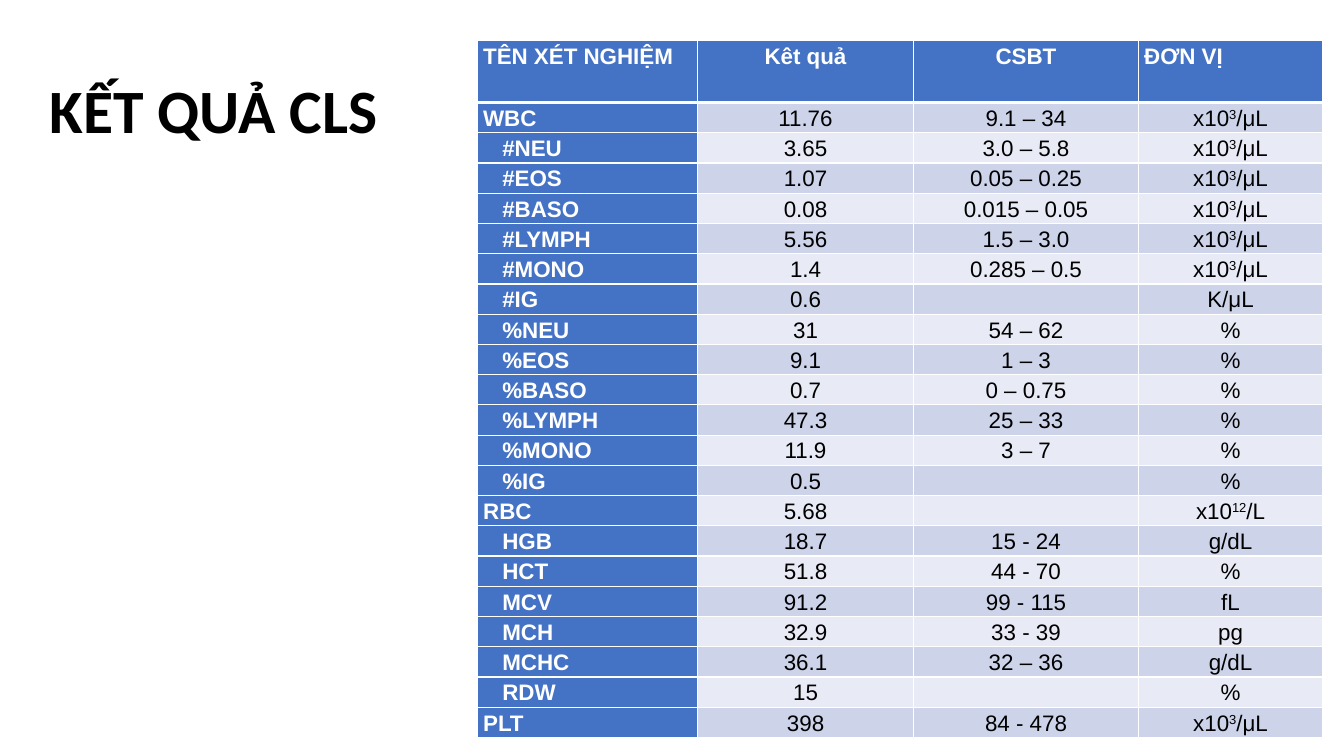
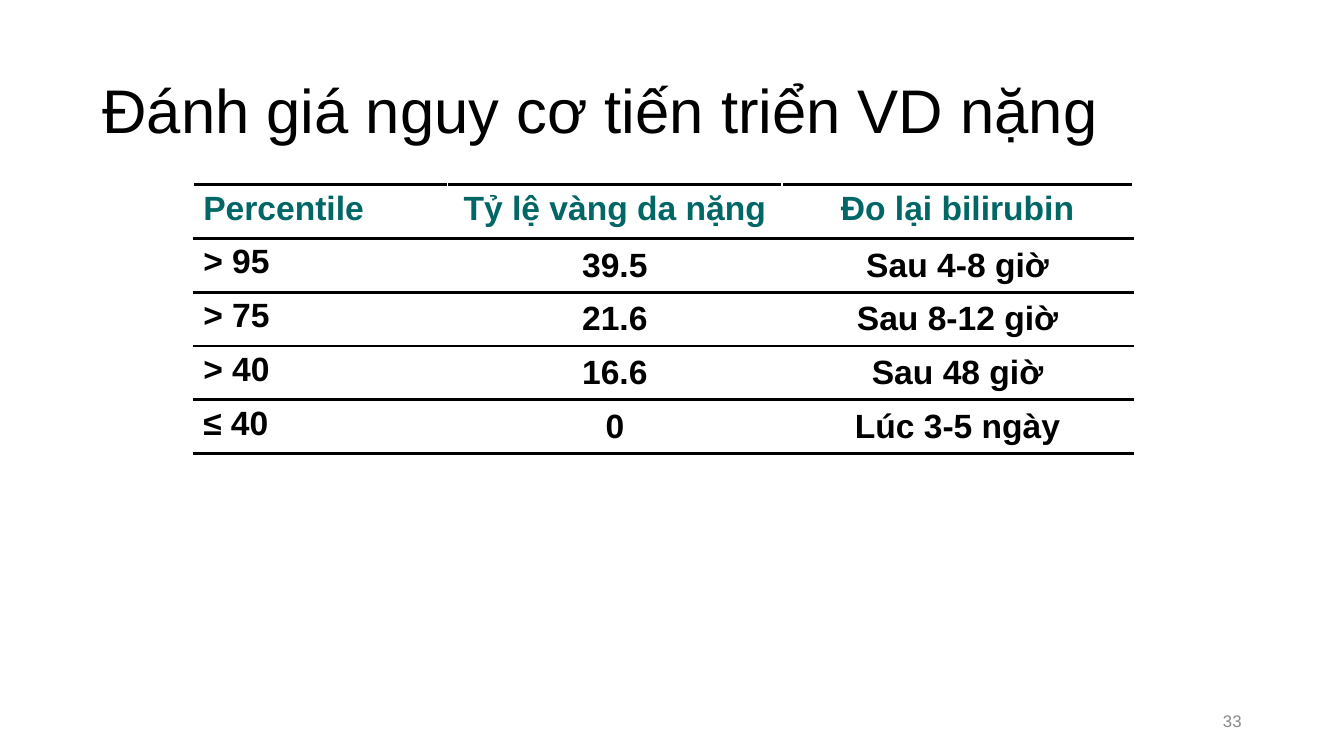
from lxml import etree
from pptx import Presentation, util as u
from pptx.dml.color import RGBColor
from pptx.enum import text
from pptx.oxml import ns

WHITE, BLACK, GREY = "FFFFFF", "000000", "898989"
BLUE, BAND_DARK, BAND_LIGHT = "4472C4", "CDD4EA", "E8EBF5"
TEAL = "006666"
TITLE_ONLY = 5
UNIT = u.Inches(1) / 12  # the slide is a grid of 160 columns by 90 rows
LEFT, CENTER, RIGHT = text.PP_ALIGN.LEFT, text.PP_ALIGN.CENTER, text.PP_ALIGN.RIGHT
TOP, MIDDLE = text.MSO_ANCHOR.TOP, text.MSO_ANCHOR.MIDDLE


def color(hex_code):
    return RGBColor.from_string(hex_code)


def grid(*units):
    return [u.Emu(round(n * UNIT)) for n in units]


def write(frame, content, size=16, font="Arial", ink=BLACK, bold=False, align=LEFT, spacing=None):
    """Write one paragraph; parts between carets are raised."""
    paragraph = frame.paragraphs[0]
    paragraph.alignment = align
    paragraph.line_spacing = spacing
    if not content:  # an empty cell keeps the row's text size
        end = etree.SubElement(paragraph._p, ns.qn("a:endParaRPr"))
        end.set("sz", str(size * 100))
        return
    for i, part in enumerate(content.split("^")):
        run = paragraph.add_run()
        run.text = part
        run.font.size, run.font.name, run.font.bold = u.Pt(size), font, bold
        run.font.color.rgb = color(ink)
        if i % 2:
            run._r.get_or_add_rPr().set("baseline", "30000")


def draw_borders(cell, borders):
    """Borders map a side (L, R, T, B) to a colour and a width in points."""
    properties = cell._tc.get_or_add_tcPr()
    for side in "LRTB":
        ink, width = borders[side]
        line = etree.SubElement(properties, ns.qn("a:ln" + side), w=str(u.Pt(width)))
        fill = etree.SubElement(line, ns.qn("a:solidFill"))
        etree.SubElement(fill, ns.qn("a:srgbClr"), val=ink)


class Deck:
    def __init__(self):
        self.show = Presentation()
        self.show.slide_width, self.show.slide_height = grid(160, 90)
        self.slide = None

    def add_slide(self, title, left, **style):
        self.slide = self.show.slides.add_slide(self.show.slide_layouts[TITLE_ONLY])
        heading = self.slide.shapes.title
        heading.left, heading.top, heading.width, heading.height = grid(left, 4.8, 138, 17.4)
        heading.text_frame.vertical_anchor = MIDDLE
        write(heading.text_frame, title, size=44, spacing=0.9, **style)

    def add_page_number(self, number):
        frame = self.slide.shapes.add_textbox(*grid(113, 83.4, 36, 4.8)).text_frame
        frame.word_wrap = True
        frame.vertical_anchor = MIDDLE
        write(frame, number, size=12, ink=GREY, align=RIGHT)

    def add_table(self, left, top, columns, heights, rows, style):
        """style(row, column, name) gives fill, borders, margins, anchor and text format."""
        place = grid(left, top, sum(columns), sum(heights))
        table = self.slide.shapes.add_table(len(rows), len(columns), *place).table
        table.first_row = table.horz_banding = False
        for column, width in zip(table.columns, grid(*columns)):
            column.width = width
        for row, height in zip(table.rows, grid(*heights)):
            row.height = height
        for r, values in enumerate(rows):
            for c, value in enumerate(values):
                look = style(r, c, values[0])
                cell = table.cell(r, c)
                draw_borders(cell, look["borders"])
                if look["fill"]:
                    cell.fill.solid()
                    cell.fill.fore_color.rgb = color(look["fill"])
                else:
                    cell.fill.background()
                margins = [u.Inches(m) for m in look["margins"]]
                cell.margin_left, cell.margin_top, cell.margin_right, cell.margin_bottom = margins
                cell.vertical_anchor = look["anchor"]
                write(cell.text_frame, value, **look["format"])


# Blood test results
GROUPS = ("WBC", "RBC", "PLT")
PER_UL = "x10^3^/μL"
BLOOD_TESTS = [
    ("TÊN XÉT NGHIỆM", "Kêt quả", "CSBT", "ĐƠN VỊ"),
    ("WBC", "11.76", "9.1 – 34", PER_UL),
    ("#NEU", "3.65", "3.0 – 5.8", PER_UL),
    ("#EOS", "1.07", "0.05 – 0.25", PER_UL),
    ("#BASO", "0.08", "0.015 – 0.05", PER_UL),
    ("#LYMPH", "5.56", "1.5 – 3.0", PER_UL),
    ("#MONO", "1.4", "0.285 – 0.5", PER_UL),
    ("#IG", "0.6", "", "K/μL"),
    ("%NEU", "31", "54 – 62", "%"),
    ("%EOS", "9.1", "1 – 3", "%"),
    ("%BASO", "0.7", "0 – 0.75", "%"),
    ("%LYMPH", "47.3", "25 – 33", "%"),
    ("%MONO", "11.9", "3 – 7", "%"),
    ("%IG", "0.5", "", "%"),
    ("RBC", "5.68", "", "x10^12^/L"),
    ("HGB", "18.7", "15 - 24", "g/dL"),
    ("HCT", "51.8", "44 - 70", "%"),
    ("MCV", "91.2", "99 - 115", "fL"),
    ("MCH", "32.9", "33 - 39", "pg"),
    ("MCHC", "36.1", "32 – 36", "g/dL"),
    ("RDW", "15", "", "%"),
    ("PLT", "398", "84 - 478", PER_UL),
]


def blood_style(r, c, name):
    heading = r == 0 or c == 0
    indented = r > 0 and c == 0 and name not in GROUPS
    borders = dict.fromkeys("LRTB", (WHITE, 1))
    if r < 2:  # thick rule under the header row
        borders["T" if r else "B"] = (WHITE, 3)
    left_aligned = c == 0 or (r == 0 and c == 3)
    return {
        "fill": BLUE if heading else BAND_DARK if r % 2 else BAND_LIGHT,
        "borders": borders,
        "margins": (0.25 if indented else 0.06, 0, 0.06, 0),
        "anchor": TOP,
        "format": dict(ink=WHITE if heading else BLACK, bold=heading, spacing=1.15,
                       align=LEFT if left_aligned else CENTER),
    }


# Risk of severe jaundice
JAUNDICE_RISK = [
    ("Percentile", "Tỷ lệ vàng da nặng", "Đo lại bilirubin"),
    ("> 95", "39.5", "Sau 4-8 giờ"),
    ("> 75", "21.6", "Sau 8-12 giờ"),
    ("> 40", "16.6", "Sau 48 giờ"),
    ("≤ 40", "0", "Lúc 3-5 ngày"),
]


def risk_style(r, c, name):
    side, rule = (WHITE, 1), (BLACK, 2.25)
    return {
        "fill": None,
        "borders": {"L": side, "R": side, "T": rule, "B": rule},
        "margins": (0.1, 0.05, 0.1, 0.05),
        "anchor": MIDDLE if r and c else TOP,
        "format": dict(size=24, bold=True, ink=BLACK if r else TEAL,
                       align=CENTER if c else LEFT),
    }


def main():
    deck = Deck()

    deck.add_slide("KẾT QUẢ CLS", 4.7, font="Calibri", bold=True)
    heights = [7.4] + [3.6] * (len(BLOOD_TESTS) - 1)
    deck.add_table(56.8, 4.8, (26.2, 25.8, 26.7, 22), heights, BLOOD_TESTS, blood_style)

    deck.add_slide("Đánh giá nguy cơ tiến triển VD nặng", 11)
    deck.add_page_number("33")
    heights = [6.4] * len(JAUNDICE_RISK)
    deck.add_table(23, 22, (30.3, 39.8, 41.8), heights, JAUNDICE_RISK, risk_style)

    deck.show.save("out.pptx")


if __name__ == "__main__":
    main()
